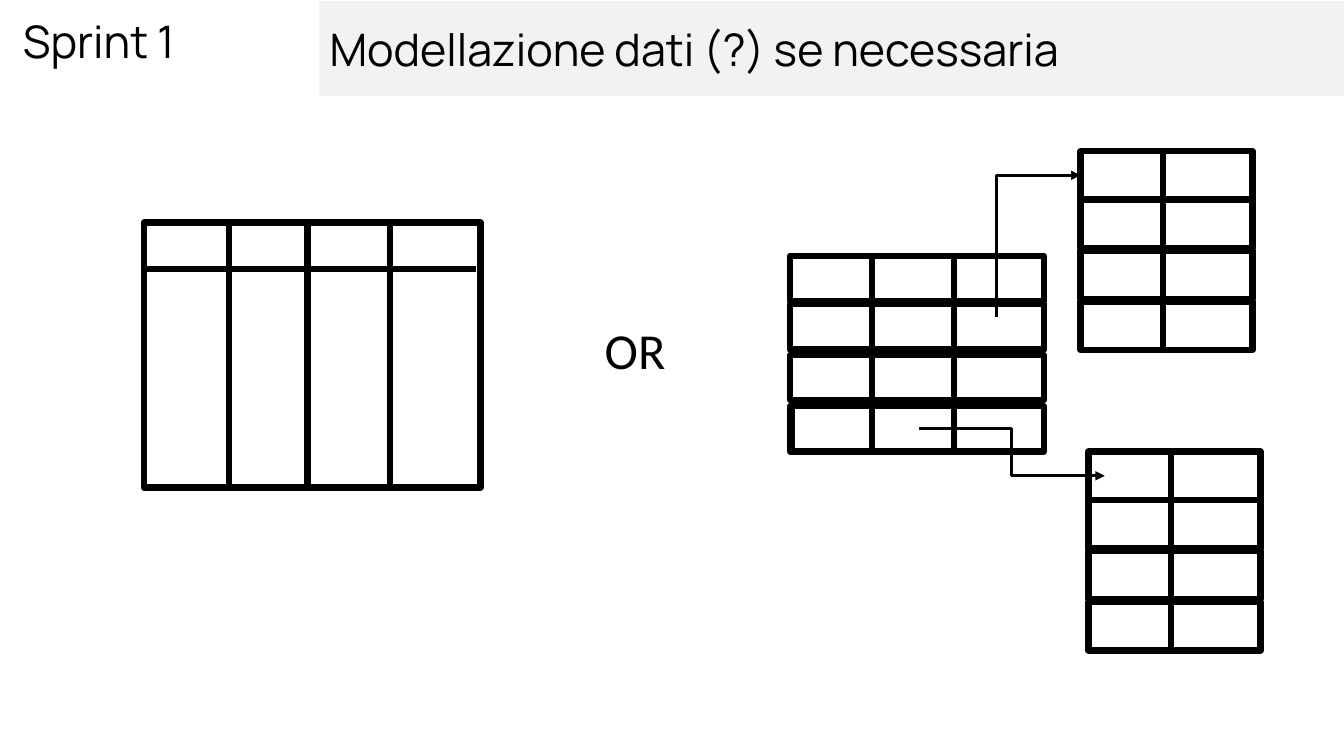
"""Build the Sprint 1 data modelling slide: one wide table or several related ones."""
import lxml.etree
import pptx
import pptx.dml.color
import pptx.enum.shapes
import pptx.enum.text
import pptx.oxml.ns
import pptx.util
from pptx.util import Cm

BLACK, WHITE, BAND = "000000", "FFFFFF", "F2F2F2"
HEADING = ("Modellazione dati (?) se necessaria", "Manrope", 32, (8.05, 0.03, 25.82, 2.39))
LABELS = [
    ("Sprint 1", "Manrope", 32, (0.33, 0.23, 7.62, 1.5)),
    ("OR", "Calibri", 36, (14.99, 7.92, 3.63, 1.8)),
]
SINGLE_TABLE = {"box": (3.63, 5.61, 8.48, 6.68), "dividers": (2.14, 4.12, 6.2),
                "header": 1.17, "header_width": 8.36}
ROW_OFFSETS = (0, 1.22, 2.5, 3.79)
RELATED_TABLES = [
    {"left": 19.91, "top": 6.45, "width": 6.4, "row": 1.14, "dividers": (2.06, 4.14)},
    {"left": 27.23, "top": 3.81, "width": 4.34, "row": 1.22, "dividers": (0, 2.08)},
    {"left": 27.43, "top": 11.38, "width": 4.34, "row": 1.22, "dividers": (0, 2.08)},
]
KEY_EDGE = (19.96, 10.24, 19.96, 11.38)
UPPER_LINK = (25.12, 8, 27.23, 4.42)
LOWER_LINK = (23.16, 10.8, 27.84, 11.99)
BORDER, LINK = 4.5, 2.25


def colour(value):
    return pptx.dml.color.RGBColor.from_string(value)


def write(shape, text, font, size):
    frame = shape.text_frame
    frame.text = text
    frame.word_wrap = True
    paragraph = frame.paragraphs[0]
    paragraph.alignment = pptx.enum.text.PP_ALIGN.LEFT
    run = paragraph.runs[0]
    run.font.name, run.font.size = font, pptx.util.Pt(size)
    run.font.color.rgb = colour(BLACK)


def add_box(slide, box):
    rectangle = slide.shapes.add_shape(
        pptx.enum.shapes.MSO_SHAPE.RECTANGLE, *map(Cm, box))
    rectangle.shadow.inherit = False
    rectangle.fill.solid()
    rectangle.fill.fore_color.rgb = colour(WHITE)
    rectangle.line.color.rgb = colour(BLACK)
    rectangle.line.width = pptx.util.Pt(BORDER)


def add_line(slide, ends, width=BORDER, kind="STRAIGHT"):
    line = slide.shapes.add_connector(
        pptx.enum.shapes.MSO_CONNECTOR[kind], *map(Cm, ends))
    line.line.color.rgb = colour(BLACK)
    line.line.width = pptx.util.Pt(width)
    lxml.etree.SubElement(line._element.spPr, pptx.oxml.ns.qn("a:effectLst"))
    return line


def add_link(slide, ends):
    link = add_line(slide, ends, LINK, "ELBOW")
    stroke = link._element.spPr.find(pptx.oxml.ns.qn("a:ln"))
    lxml.etree.SubElement(stroke, pptx.oxml.ns.qn("a:tailEnd"), type="triangle")
    return link


def add_corner_link(slide, ends):
    x1, y1, x2, y2 = ends
    centre_x, centre_y = (x1 + x2) / 2, (y1 + y2) / 2
    half_width, half_height = abs(y2 - y1) / 2, abs(x2 - x1) / 2
    link = add_link(slide, (centre_x + half_width, centre_y + half_height,
                            centre_x - half_width, centre_y - half_height))
    properties = link._element.spPr
    properties.find(pptx.oxml.ns.qn("a:xfrm")).set("rot", str(90 * 60000))
    properties.find(pptx.oxml.ns.qn("a:prstGeom")).set("prst", "bentConnector2")


def add_divided_box(slide, box, dividers):
    left, top, _, height = box
    add_box(slide, box)
    for offset in dividers:
        add_line(slide, (left + offset, top, left + offset, top + height))


def main():
    deck = pptx.Presentation()
    deck.slide_width, deck.slide_height = Cm(33.87), Cm(19.05)
    slide = deck.slides.add_slide(deck.slide_layouts[5])

    text, font, size, box = HEADING
    heading = slide.shapes.title
    heading.left, heading.top, heading.width, heading.height = map(Cm, box)
    heading.fill.solid()
    heading.fill.fore_color.rgb = colour(BAND)
    write(heading, text, font, size)
    heading.text_frame.auto_size = pptx.enum.text.MSO_AUTO_SIZE.NONE
    heading.text_frame.vertical_anchor = pptx.enum.text.MSO_ANCHOR.MIDDLE

    for text, font, size, box in LABELS:
        write(slide.shapes.add_textbox(*map(Cm, box)), text, font, size)

    add_divided_box(slide, SINGLE_TABLE["box"], SINGLE_TABLE["dividers"])
    left, top = SINGLE_TABLE["box"][:2]
    header_y = top + SINGLE_TABLE["header"]
    add_line(slide, (left, header_y, left + SINGLE_TABLE["header_width"], header_y))

    for table in RELATED_TABLES:
        for offset in reversed(ROW_OFFSETS):
            row = (table["left"], table["top"] + offset, table["width"], table["row"])
            add_divided_box(slide, row, table["dividers"])
    add_line(slide, KEY_EDGE)

    add_corner_link(slide, UPPER_LINK)
    add_link(slide, LOWER_LINK)
    deck.save("out.pptx")


if __name__ == "__main__":
    main()
